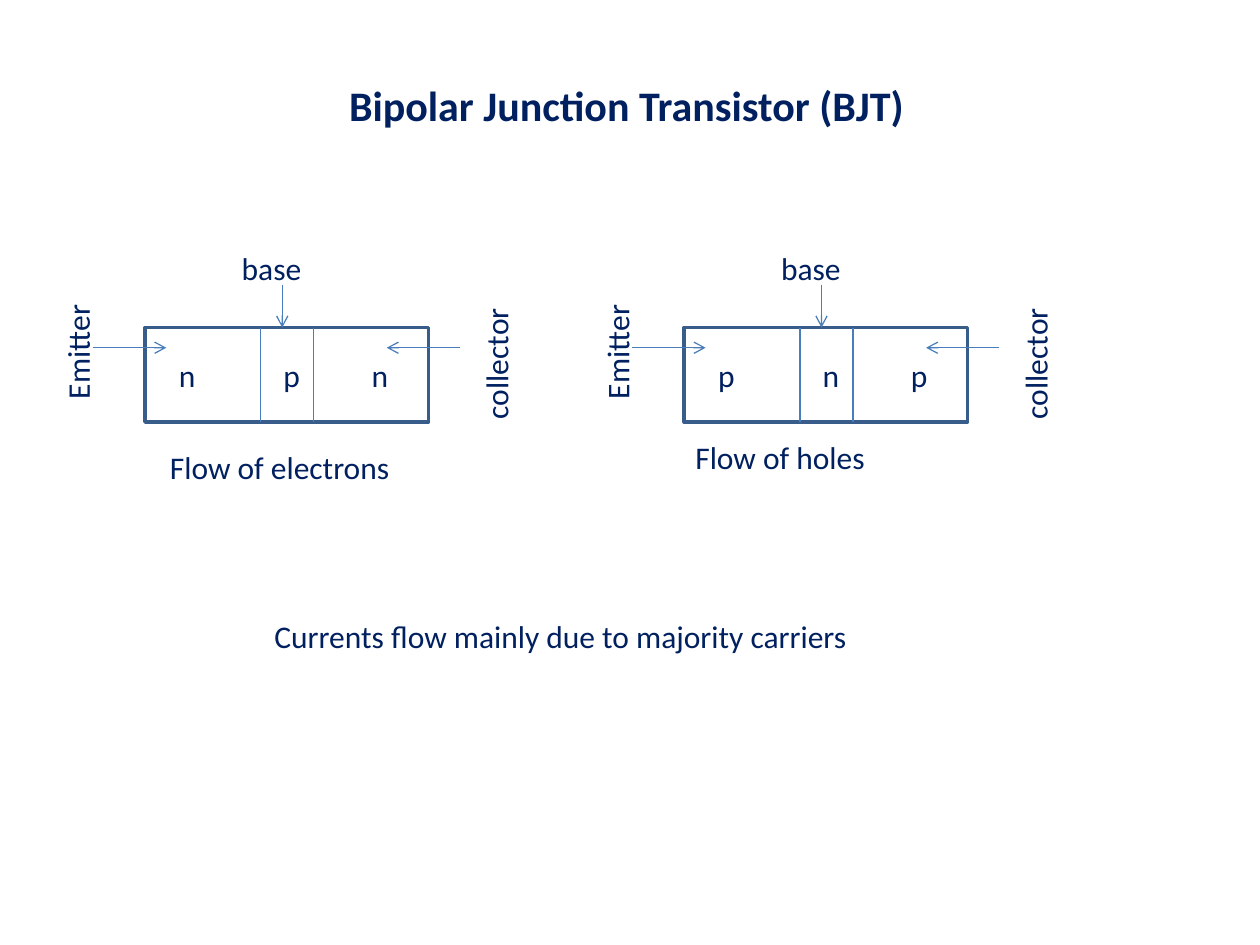
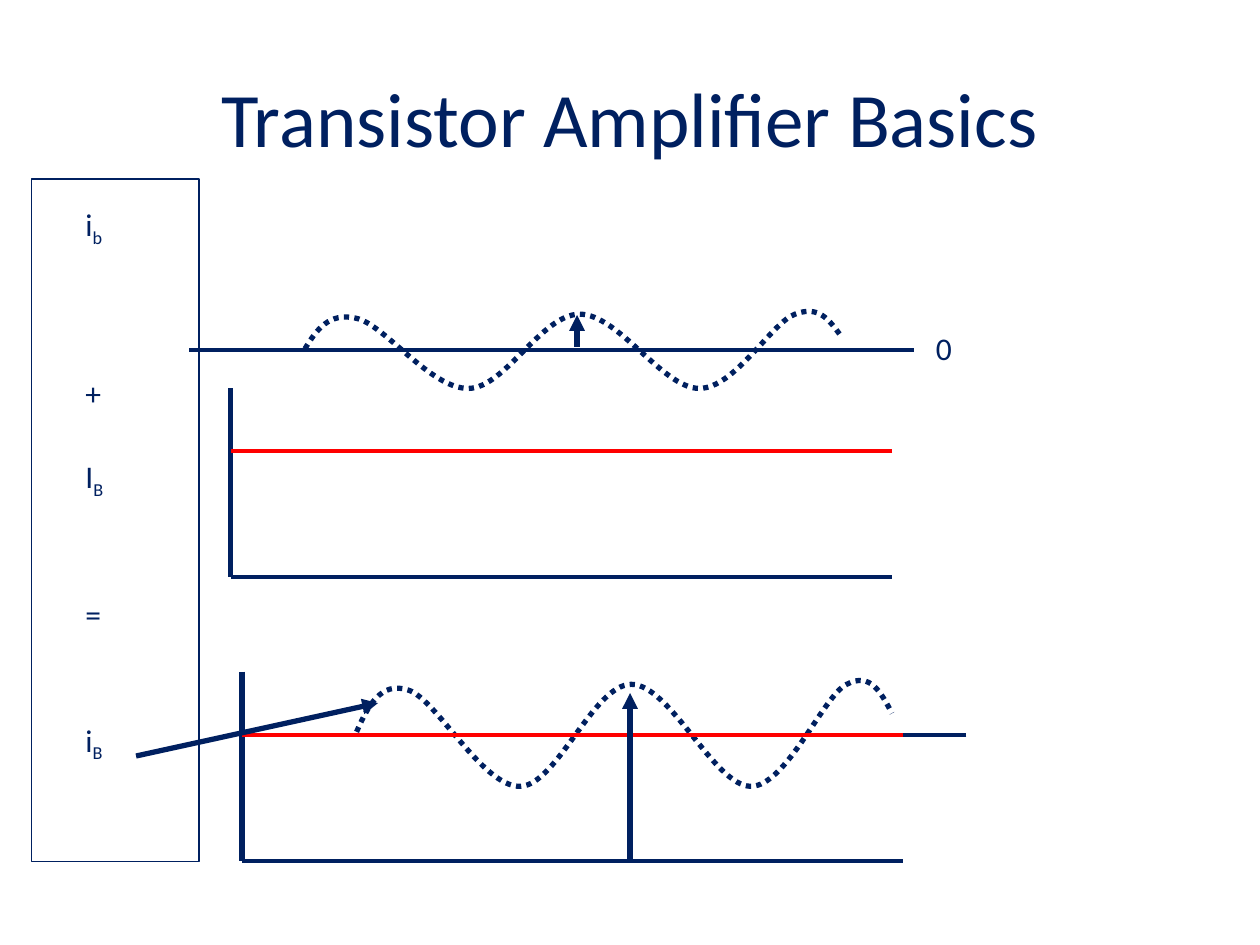
from dataclasses import dataclass
from typing import Optional

from lxml.etree import SubElement
from pptx import Presentation
from pptx.dml.color import RGBColor
from pptx.enum.dml import MSO_LINE
from pptx.enum.shapes import MSO_CONNECTOR, MSO_SHAPE
from pptx.enum.text import MSO_ANCHOR, PP_ALIGN
from pptx.oxml.ns import qn
from pptx.util import Inches, Pt

COLORS = {
    "navy": "002060",
    "outline": "385D8A",
    "blue": "4A7EBB",
    "red": "FF0000",
    "white": "FFFFFF",
}
FONT = "Calibri"
TITLE_ONLY = 5

WAVE_WIDTH = 4.25
WAVE_X = (0, 0.09, 0.19, 0.41, 0.63, 1.0, 1.3, 1.59, 1.88, 2.18,
          2.49, 2.84, 3.13, 3.41, 3.71, 3.89, 4.08, 4.16, WAVE_WIDTH)
WAVE_LEVEL = (0.52, 0.3, 0.08, 0.16, 0.23, 1, 0.99, 0.98, 0.11, 0.11,
              0.11, 0.99, 0.99, 0.99, 0.2, 0.11, 0, 0.18, 0.36)


@dataclass(frozen=True)
class Label:
    text: str
    left: float
    top: float
    width: float
    subscript: str = ""
    rotation: int = 0
    inset: float = 0.1
    tabs: tuple = ()


@dataclass(frozen=True)
class Line:
    start: tuple
    end: tuple
    color: str = "navy"
    weight: float = 2.25
    tail: Optional[str] = None


@dataclass(frozen=True)
class Junction:
    left: float
    regions: str
    caption: str
    caption_left: float
    caption_top: float


JUNCTIONS = (
    Junction(1.15, "n\tp\tn", "Flow of electrons", 1.25, 3.51),
    Junction(5.43, "p\tn\tp", "Flow of holes", 5.42, 3.43),
)
CURRENT_LABELS = (
    Label("i", 0.58, 1.58, 0.92, "b"),
    Label("+", 0.58, 2.92, 0.92),
    Label("I", 0.58, 3.58, 0.83, "B"),
    Label("=", 0.58, 4.67, 1.08),
    Label("i", 0.58, 5.67, 1, "B"),
    Label("0", 7.33, 2.56, 0.67),
)
POINTERS = (
    Line((1.08, 6), (3, 5.58), weight=3, tail="triangle"),
    Line((5, 6.83), (5, 5.5), weight=3, tail="triangle"),
    Line((4.58, 2.75), (4.58, 2.5), weight=3, tail="triangle"),
)


def rgb(name: str) -> RGBColor:
    return RGBColor.from_string(COLORS[name])


def format_para(para, size: float, bold: bool = False) -> None:
    para.font.name = FONT
    para.font.size = Pt(size)
    para.font.bold = bold
    para.font.color.rgb = rgb("navy")


def add_title_page(deck, text: str, frame: tuple, size: float, bold: bool, align):
    page = deck.slides.add_slide(deck.slide_layouts[TITLE_ONLY])
    title = page.shapes.title
    title.left, title.top, title.width, title.height = map(Inches, frame)
    title.text_frame.text = text
    title.text_frame.vertical_anchor = MSO_ANCHOR.MIDDLE
    para = title.text_frame.paragraphs[0]
    para.alignment = align
    format_para(para, size, bold)
    return page


def add_label(page, label: Label) -> None:
    box = page.shapes.add_textbox(
        Inches(label.left), Inches(label.top), Inches(label.width), Inches(0.4))
    box.rotation = label.rotation
    frame = box.text_frame
    frame.word_wrap = True
    frame.margin_left = Inches(label.inset)
    para = frame.paragraphs[0]
    if label.tabs:
        stops = SubElement(para._p.get_or_add_pPr(), qn("a:tabLst"))
        for position in label.tabs:
            SubElement(stops, qn("a:tab"), pos=str(Inches(position)), algn="l")
    para.add_run().text = label.text
    if label.subscript:
        span = para.add_run()
        span.text = label.subscript
        span.font._element.set("baseline", "-25000")
    format_para(para, 18)


def add_line(page, line: Line) -> None:
    connector = page.shapes.add_connector(
        MSO_CONNECTOR.STRAIGHT, *map(Inches, line.start + line.end))
    connector.line.color.rgb = rgb(line.color)
    connector.line.width = Pt(line.weight)
    if line.tail:
        SubElement(connector.line._get_or_add_ln(), qn("a:tailEnd"), type=line.tail)
    SubElement(connector._element.spPr, qn("a:effectLst"))


def add_rectangle(page, frame: tuple, color: str, weight: float,
                  fill: Optional[str] = None) -> None:
    rectangle = page.shapes.add_shape(MSO_SHAPE.RECTANGLE, *map(Inches, frame))
    rectangle.shadow.inherit = False
    if fill:
        rectangle.fill.solid()
        rectangle.fill.fore_color.rgb = rgb(fill)
    else:
        rectangle.fill.background()
    rectangle.line.color.rgb = rgb(color)
    rectangle.line.width = Pt(weight)


def add_wave(page, left: float, top: float, height: float) -> None:
    points = [(Inches(left + x), Inches(top + level * height))
              for x, level in zip(WAVE_X, WAVE_LEVEL)]
    builder = page.shapes.build_freeform(*points[0])
    builder.add_line_segments(points[1:], close=False)
    wave = builder.convert_to_shape()
    segments = wave._element.xpath(".//a:lnTo")
    outline = segments[0].getparent()
    for first in range(0, len(segments), 3):
        curve = SubElement(outline, qn("a:cubicBezTo"))
        for segment in segments[first:first + 3]:
            curve.append(segment[0])
            outline.remove(segment)
    wave.shadow.inherit = False
    wave.fill.background()
    wave.line.color.rgb = rgb("navy")
    wave.line.width = Pt(3)
    wave.line.dash_style = MSO_LINE.ROUND_DOT


def add_plot(page, left: float, top: float) -> None:
    right, bias, bottom = left + 5.25, top + 0.5, top + 1.5
    add_line(page, Line((left, top), (left, bottom), weight=3))
    add_line(page, Line((left, bottom), (right, bottom)))
    add_line(page, Line((right, bias), (left, bias), "red"))


def add_junction(page, junction: Junction) -> None:
    left = junction.left
    top, bottom, lead = 2.6, 3.35, 2.76
    add_rectangle(page, (left, top, 2.25, bottom - top), "outline", 2, "white")
    for offset in (0.92, 1.34):
        add_line(page, Line((left + offset, top), (left + offset, bottom), "blue", 0.75))
    for start, end in (
        ((left - 0.41, lead), (left + 0.17, lead)),
        ((left + 2.5, lead), (left + 1.92, lead)),
        ((left + 1.09, 2.26), (left + 1.09, top)),
    ):
        add_line(page, Line(start, end, "blue", 0.75, "arrow"))
    for label in (
        Label(junction.regions, left, 2.78, 2.5, inset=0.27, tabs=(0.83, 1.53)),
        Label("Emitter", left - 1.16, 2.44, 1.25, rotation=270),
        Label("collector", left + 2.16, 2.6, 1.25, rotation=270),
        Label("base", left + 0.67, 1.93, 0.75),
        Label(junction.caption, junction.caption_left, junction.caption_top, 2.08),
    ):
        add_label(page, label)


def build_transistor_page(deck) -> None:
    page = add_title_page(deck, "Bipolar Junction Transistor (BJT)",
                          (2.67, 0.58, 4.75, 0.5), 24, True, PP_ALIGN.LEFT)
    for junction in JUNCTIONS:
        add_junction(page, junction)
    add_label(page, Label("Currents flow mainly due to majority carriers",
                          2.08, 4.85, 5.17))


def build_amplifier_page(deck) -> None:
    page = add_title_page(deck, "Transistor Amplifier Basics",
                          (0.5, 0.3, 9, 1.25), 44, False, PP_ALIGN.CENTER)
    add_wave(page, 2.42, 2.42, 0.67)
    add_line(page, Line((7.25, 2.78), (1.5, 2.78)))
    add_plot(page, 1.83, 3.08)
    add_wave(page, 2.83, 5.33, 0.92)
    add_line(page, Line((7.67, 5.83), (1.92, 5.83)))
    add_plot(page, 1.92, 5.33)
    for label in CURRENT_LABELS:
        add_label(page, label)
    for pointer in POINTERS:
        add_line(page, pointer)
    add_rectangle(page, (0.25, 1.42, 1.33, 5.42), "navy", 0.75)


def main() -> None:
    deck = Presentation()
    deck.slide_width, deck.slide_height = Inches(10), Inches(7.5)
    build_transistor_page(deck)
    build_amplifier_page(deck)
    deck.save("out.pptx")


if __name__ == "__main__":
    main()
